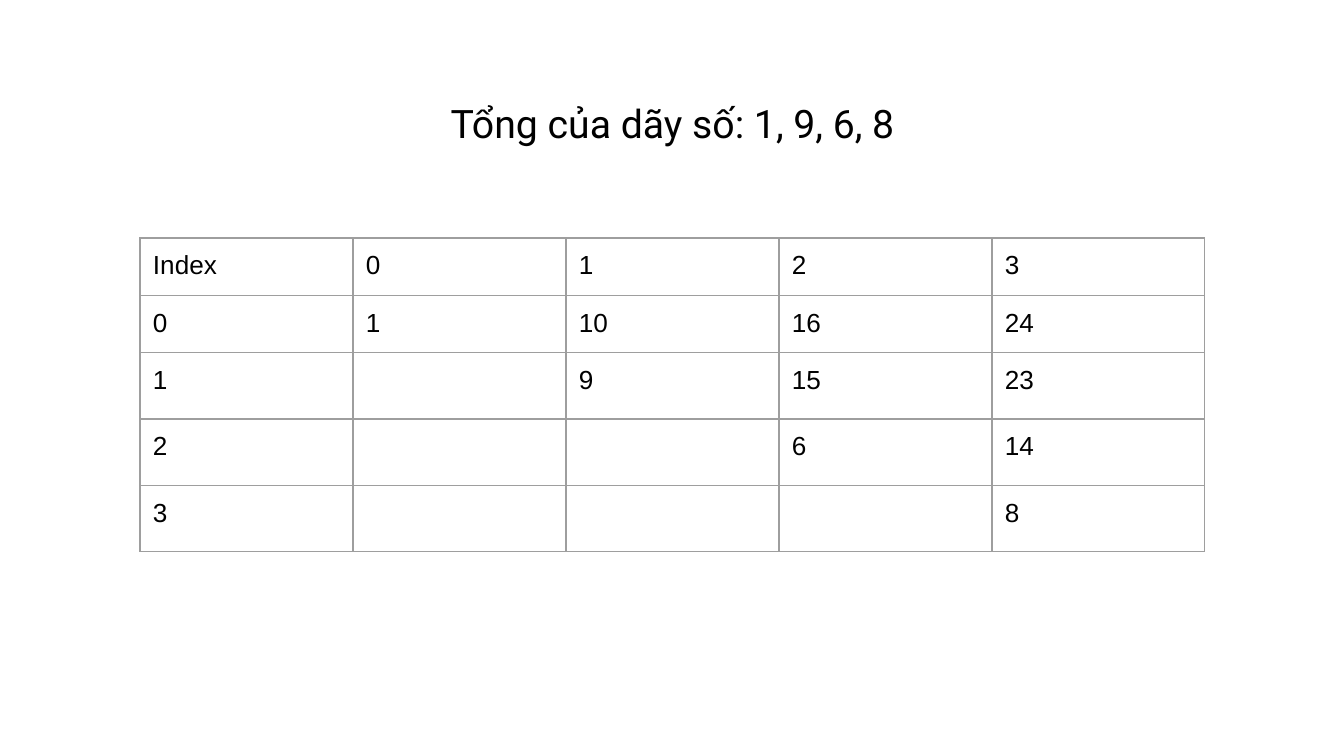
from lxml.etree import SubElement
from pptx import Presentation
from pptx.dml.color import RGBColor
from pptx.enum.text import MSO_ANCHOR, MSO_AUTO_SIZE, PP_ALIGN
from pptx.oxml.ns import qn
from pptx.util import Inches, Pt

PX_PER_INCH = 134.4
TITLE_ONLY_LAYOUT = 5
BLACK = "000000"
BORDER_GREY = "9E9E9E"
INSET = 13

TITLE = "Tổng của dãy số: 1, 9, 6, 8"
NUMBERS = [1, 9, 6, 8]

COLUMN_WIDTH = 213
ROW_HEIGHT = 56


def px(length):
    return Inches(length / PX_PER_INCH)


def color(hex_string):
    return RGBColor.from_string(hex_string)


def set_attributes(target, values):
    for name, value in values.items():
        setattr(target, name, value)


def set_insets(target):
    for side in ("left", "right", "top", "bottom"):
        setattr(target, f"margin_{side}", px(INSET))


def write_run(paragraph, text, font_name, size):
    run = paragraph.add_run()
    run.text = text
    set_attributes(run.font, {"name": font_name, "size": Pt(size), "bold": False})
    run.font.color.rgb = color(BLACK)


def add_title(slide):
    title = slide.shapes.title
    set_attributes(title, {"left": px(419), "top": px(86),
                           "width": px(507), "height": px(75)})
    frame = title.text_frame
    set_attributes(frame, {"word_wrap": True, "vertical_anchor": MSO_ANCHOR.TOP,
                           "auto_size": MSO_AUTO_SIZE.SHAPE_TO_FIT_TEXT})
    set_insets(frame)
    paragraph = frame.paragraphs[0]
    paragraph.alignment = PP_ALIGN.CENTER
    write_run(paragraph, TITLE, "Roboto", 21)


def range_sum_rows():
    """Header row, then the sum of NUMBERS from each start index to each end index."""
    indexes = range(len(NUMBERS))
    rows = [["Index", *map(str, indexes)]]
    for start in indexes:
        sums = [str(sum(NUMBERS[start:end + 1])) if end >= start else ""
                for end in indexes]
        rows.append([str(start), *sums])
    return rows


def set_borders(cell):
    properties = cell._tc.get_or_add_tcPr()
    for side in ("lnL", "lnR", "lnT", "lnB"):
        line = SubElement(properties, qn(f"a:{side}"), w=str(Pt(0.75)))
        fill = SubElement(line, qn("a:solidFill"))
        SubElement(fill, qn("a:srgbClr"), val=BORDER_GREY)


def format_cell(cell, text):
    set_insets(cell)
    set_borders(cell)
    cell.fill.background()
    if text:
        write_run(cell.text_frame.paragraphs[0], text, "Arial", 14)


def add_sum_table(slide):
    rows = range_sum_rows()
    row_count, column_count = len(rows), len(rows[0])
    table = slide.shapes.add_table(
        row_count, column_count, px(140), px(238),
        px(COLUMN_WIDTH * column_count), px(ROW_HEIGHT * row_count)).table
    set_attributes(table, {"first_row": False, "horz_banding": False})
    for column in table.columns:
        column.width = px(COLUMN_WIDTH)
    for table_row, texts in zip(table.rows, rows):
        table_row.height = px(ROW_HEIGHT)
        for cell, text in zip(table_row.cells, texts):
            format_cell(cell, text)


def main():
    presentation = Presentation()
    set_attributes(presentation, {"slide_width": px(1344), "slide_height": px(756)})
    slide = presentation.slides.add_slide(presentation.slide_layouts[TITLE_ONLY_LAYOUT])
    add_sum_table(slide)
    add_title(slide)
    presentation.save("out.pptx")


if __name__ == "__main__":
    main()
